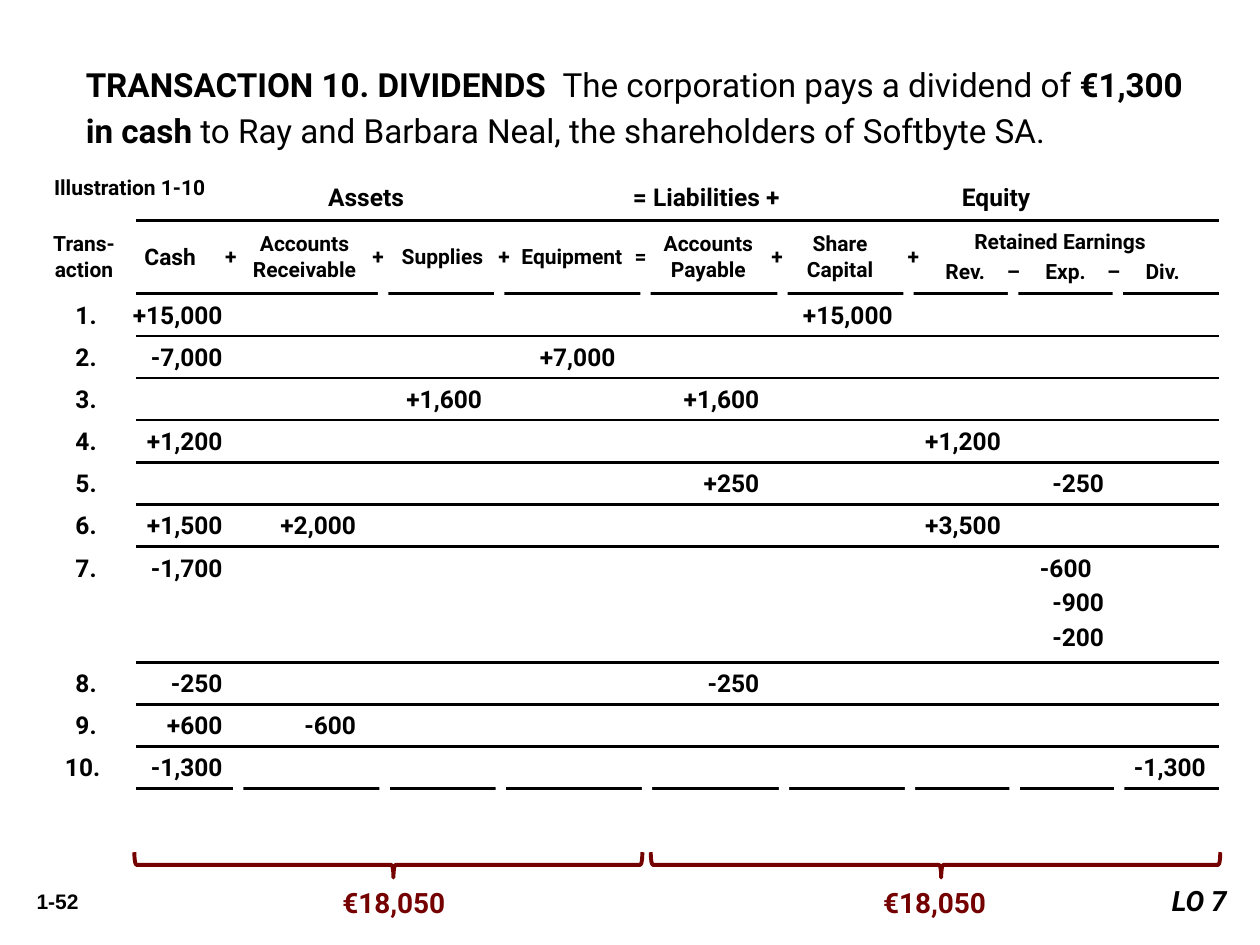
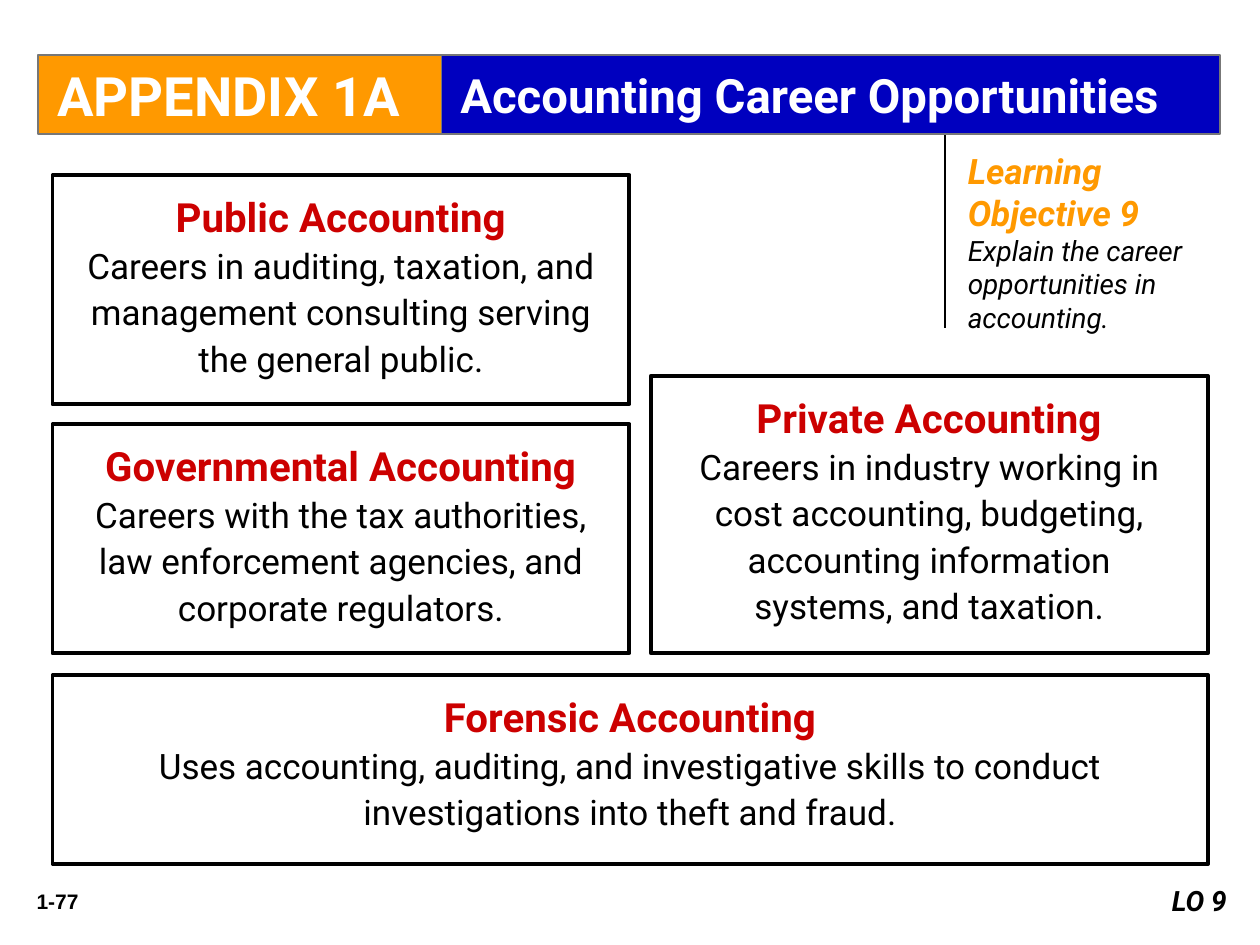
from dataclasses import dataclass
from itertools import accumulate
from typing import NamedTuple

from lxml import etree
from pptx import Presentation
from pptx.dml.color import RGBColor
from pptx.enum.shapes import MSO_CONNECTOR, MSO_SHAPE
from pptx.enum.text import MSO_ANCHOR, PP_ALIGN
from pptx.oxml.ns import qn
from pptx.util import Cm, Pt

RECT, BRACE = MSO_SHAPE.RECTANGLE, MSO_SHAPE.LEFT_BRACE
STRAIGHT = MSO_CONNECTOR.STRAIGHT
LEFT, CENTER, RIGHT = PP_ALIGN.LEFT, PP_ALIGN.CENTER, PP_ALIGN.RIGHT
TOP, MIDDLE = MSO_ANCHOR.TOP, MSO_ANCHOR.MIDDLE

BLACK = RGBColor(0x00, 0x00, 0x00)
WHITE = RGBColor(0xFF, 0xFF, 0xFF)
MAROON = RGBColor(0x74, 0x00, 0x00)
RED = RGBColor(0xCC, 0x00, 0x00)
ORANGE = RGBColor(0xFF, 0x99, 0x00)
BLUE = RGBColor(0x00, 0x00, 0xBF)
GREY = RGBColor(0x77, 0x77, 0x77)
FONT, NUMBER_FONT = "Roboto", "Arial"


class Box(NamedTuple):
    """Left, top, width and height in centimetres."""
    x: float
    y: float
    w: float
    h: float

    def lengths(self) -> list:
        return [Cm(v) for v in self]


@dataclass
class Run:
    text: str
    size: float
    bold: bool = True
    italic: bool = False
    color: RGBColor = BLACK
    font: str = FONT


@dataclass
class Para:
    runs: list[Run]
    align: PP_ALIGN = LEFT
    before: float = 0
    spacing: float = 1.0
    tabs: tuple = ()  # (position in cm, alignment)


@dataclass
class Line:
    """Amounts of one ledger line, by column."""
    amounts: dict[str, str]
    expense_tab: float = 20.95


@dataclass
class Entry:
    lines: list[Line]
    height: float = 0.85


@dataclass
class Card:
    box: Box
    title: str
    body: str


# ---------- shared helpers ----------
def write(tf, paras: list[Para], anchor=TOP, inset_x=0.25, inset_y=0.13) -> None:
    tf.word_wrap = True
    tf.vertical_anchor = anchor
    tf.margin_left = tf.margin_right = Cm(inset_x)
    tf.margin_top = tf.margin_bottom = Cm(inset_y)
    for i, para in enumerate(paras):
        p = tf.add_paragraph() if i else tf.paragraphs[0]
        if para.tabs:
            tab_list = etree.SubElement(p._p.get_or_add_pPr(), qn("a:tabLst"))
            for pos, algn in para.tabs:
                etree.SubElement(tab_list, qn("a:tab"), pos=str(int(Cm(pos))), algn=algn)
        p.alignment = para.align
        p.line_spacing = para.spacing
        if para.before:
            p.space_before = Pt(para.before)
        for run in para.runs:
            r = p.add_run()
            r.text = run.text
            r.font.name, r.font.size = run.font, Pt(run.size)
            r.font.bold, r.font.italic = run.bold, run.italic
            r.font.color.rgb = run.color


def add_text(s, box: Box, paras: list[Para], **frame) -> None:
    write(s.shapes.add_textbox(*box.lengths()).text_frame, paras, **frame)


def add_panel(s, box: Box, fill: RGBColor, line: RGBColor | None = None, width: float = 1):
    sp = s.shapes.add_shape(RECT, *box.lengths())
    sp.shadow.inherit = False
    sp.fill.solid()
    sp.fill.fore_color.rgb = fill
    if line is None:
        sp.line.fill.background()
    else:
        sp.line.color.rgb = line
        sp.line.width = Pt(width)
    return sp


def add_line(s, x1: float, y1: float, x2: float, y2: float, width=1.5) -> None:
    line = s.shapes.add_connector(STRAIGHT, Cm(x1), Cm(y1), Cm(x2), Cm(y2))
    line.line.color.rgb = BLACK
    line.line.width = Pt(width)
    etree.SubElement(line._element.spPr, qn("a:effectLst"))


def add_footer(s, number: str, objective: str) -> None:
    add_text(s, Box(0.21, 17.78, 1.9, 0.76),
             [Para([Run(number, 12, font=NUMBER_FONT)], CENTER)])
    sp = add_panel(s, Box(22.87, 17.69, 2.11, 0.94), WHITE)
    write(sp.text_frame, [Para([Run(objective, 16, italic=True)], RIGHT)])


# ---------- slide 1: accounting equation ----------
GRID_LEFT, GRID_RIGHT = 2.74, 24.57
HEAD_TOP, ROWS_TOP = 4.44, 5.92
HEAD_HEIGHT = 1.45
GAP_WIDTH, GAP_HEIGHT = 0.21, 0.42
HEAD_GAPS = [7.62, 9.96, 12.91, 15.67, 18.21, 20.32, 22.43]
FOOT_GAPS = [4.7] + [x + 0.03 for x in HEAD_GAPS]

# Right edge of each column, from the left of the row text
COLUMNS = {"no": 0.64, "cash": 3.18, "receivable": 5.87, "supplies": 8.41,
           "equipment": 11.1, "payable": 14.0, "share": 16.69,
           "revenue": 18.87, "expense": 20.95, "dividend": 23.0}

HEADINGS = [  # left, width, lines, size
    (0.64, 2.11, ["Trans-", "action"], 12),
    (2.54, 1.78, ["Cash"], 13),
    (4.87, 2.54, ["Accounts", "Receivable"], 12),
    (7.93, 1.98, ["Supplies"], 12),
    (10.16, 2.74, ["Equipment"], 12),
    (12.91, 2.74, ["Accounts", "Payable"], 12),
    (15.92, 2.03, ["Share Capital"], 12),
]
SIGNS = [(4.44, "+"), (7.41, "+"), (9.95, "+"), (12.7, "="), (15.45, "+"), (18.2, "+")]

ENTRIES = [
    Entry([Line({"cash": "+15,000", "share": "+15,000"})]),
    Entry([Line({"cash": "-7,000", "equipment": "+7,000"})]),
    Entry([Line({"supplies": "+1,600", "payable": "+1,600"})]),
    Entry([Line({"cash": "+1,200", "revenue": "+1,200"})]),
    Entry([Line({"payable": "+250", "expense": "-250"})]),
    Entry([Line({"cash": "+1,500", "receivable": "+2,000", "revenue": "+3,500"})]),
    Entry([Line({"cash": "-1,700", "expense": "-600"}, expense_tab=20.7),
           Line({"expense": "-900"}), Line({"expense": "-200"})], height=2.33),
    Entry([Line({"cash": "-250", "payable": "-250"})]),
    Entry([Line({"cash": "+600", "receivable": "-600"})]),
    Entry([Line({"cash": "-1,300", "dividend": "-1,300"})]),
]
TOTALS = [  # brace left, brace width, centre of the amount
    (2.71, 10.24, 7.94),
    (13.12, 11.48, 18.84),
]


def add_rule(s, y: float, gaps: list[float] | None = None) -> None:
    add_line(s, GRID_LEFT, y, GRID_RIGHT, y)
    for x in gaps or []:
        add_panel(s, Box(x, y - GAP_HEIGHT / 2, GAP_WIDTH, GAP_HEIGHT), WHITE)


def centre_tabs(*positions: float) -> tuple:
    return tuple((pos, "ctr") for pos in positions)


def ledger_para(line: Line) -> Para:
    names = list(COLUMNS)
    last = max(names.index(name) for name in line.amounts)
    text = "".join("\t" + line.amounts.get(name, "") for name in names[:last + 1])
    stops = COLUMNS | {"expense": line.expense_tab}
    return Para([Run(text, 14)], before=3, tabs=tuple((pos, "r") for pos in stops.values()))


def add_headings(s) -> None:
    add_rule(s, HEAD_TOP)
    add_rule(s, ROWS_TOP, HEAD_GAPS)
    add_text(s, Box(0.84, 3.38, 4.11, 0.76), [Para([Run("Illustration 1-10", 12)])])
    add_text(s, Box(2.53, 3.59, 22.02, 0.74),
             [Para([Run("\tAssets\t= Liabilities +\tEquity", 14)],
                   tabs=centre_tabs(4.6, 11.46, 17.3))], anchor=MIDDLE)
    labels = HEADINGS + [(x, 0.43, [sign], 12) for x, sign in SIGNS]
    for x, width, lines, size in labels:
        add_text(s, Box(x, HEAD_TOP, width, HEAD_HEIGHT),
                 [Para([Run(text, size)], CENTER) for text in lines],
                 anchor=MIDDLE, inset_x=0)
    add_text(s, Box(18.22, HEAD_TOP, 6.35, HEAD_HEIGHT),
             [Para([Run("\tRetained Earnings", 12)], tabs=centre_tabs(2.9)),
              Para([Run("\tRev.\t–\tExp.\t–\tDiv.", 12)], before=3,
                   tabs=centre_tabs(0.99, 1.96, 3.01, 3.98, 4.97))], anchor=MIDDLE)


def add_entries(s) -> None:
    edges = list(accumulate((e.height for e in ENTRIES), initial=ROWS_TOP))
    for y in edges[1:-1]:
        add_rule(s, y)
    add_rule(s, edges[-1], FOOT_GAPS)
    for i, (entry, top) in enumerate(zip(ENTRIES, edges)):
        entry.lines[0].amounts["no"] = f"{i + 1}."
        paras = [ledger_para(line) for line in entry.lines]
        paras[0].before = 0
        add_text(s, Box(1.06, top - 0.01, 23.93, entry.height), paras)


def add_total(s, left: float, width: float, centre: float) -> None:
    depth, top = 0.51, 17.18
    # The upright brace is turned about its centre to point down
    box = Box(left + (width - depth) / 2, top - (width - depth) / 2, depth, width)
    sp = s.shapes.add_shape(BRACE, *box.lengths())
    sp.shadow.inherit = False
    sp.rotation = 270
    sp.adjustments[0], sp.adjustments[1] = 0.08, 0.51
    sp.fill.background()
    sp.line.color.rgb = MAROON
    sp.line.width = Pt(2.25)
    add_text(s, Box(centre - 1.9, 17.73, 3.8, 0.94),
             [Para([Run("€18,050", 16, color=MAROON)], CENTER)])


def build_transaction(prs) -> None:
    s = prs.slides.add_slide(prs.slide_layouts[6])
    add_text(s, Box(1.48, 1.05, 23.04, 2.13), [Para([
        Run("TRANSACTION 10. DIVIDENDS  ", 19),
        Run("The corporation pays a dividend of ", 19, bold=False),
        Run("€1,300 in cash ", 19),
        Run("to Ray and Barbara Neal, the shareholders of Softbyte SA.", 19, bold=False),
    ], spacing=1.15)])
    add_headings(s)
    add_entries(s)
    for total in TOTALS:
        add_total(s, *total)
    add_footer(s, "1-52", "LO 7")


# ---------- slide 2: careers ----------
BANNER = [  # box, fill, text, size
    (Box(8.89, 1.11, 15.7, 1.6), BLUE, "Accounting Career Opportunities", 27),
    (Box(0.77, 1.11, 8.13, 1.6), ORANGE, "APPENDIX 1A", 31),
]
CARDS = [
    Card(Box(1.06, 3.53, 11.63, 4.62), "Public Accounting",
         "Careers in auditing, taxation, and management consulting serving "
         "the general public."),
    Card(Box(1.06, 8.55, 11.63, 4.62), "Governmental Accounting",
         "Careers with the tax authorities, law enforcement agencies, and "
         "corporate regulators."),
    Card(Box(13.12, 7.58, 11.23, 5.59), "Private Accounting",
         "Careers in industry working in cost accounting, budgeting, "
         "accounting information systems, and taxation."),
    Card(Box(1.06, 13.61, 23.29, 3.81), "Forensic Accounting",
         "Uses accounting, auditing, and investigative skills to conduct "
         "investigations into theft and fraud."),
]


def build_careers(prs) -> None:
    s = prs.slides.add_slide(prs.slide_layouts[6])
    add_line(s, 19.05, 2.72, 19.05, 6.61, width=1)
    for card in CARDS:
        sp = add_panel(s, card.box, WHITE, BLACK, 2.25)
        write(sp.text_frame,
              [Para([Run(card.title, 23, color=RED)], CENTER, spacing=1.1),
               Para([Run(card.body, 20, bold=False)], CENTER, spacing=1.1)],
              inset_x=0.51, inset_y=0.25)
    for box, fill, text, size in BANNER:
        sp = add_panel(s, box, fill, GREY)
        write(sp.text_frame, [Para([Run(text, size, color=WHITE)])],
              anchor=MIDDLE, inset_x=0.39)
    add_text(s, Box(19.26, 2.88, 5.69, 4.01), [
        Para([Run("Learning Objective 9", 20, italic=True, color=ORANGE)]),
        Para([Run("Explain the career opportunities in accounting.", 16,
                  bold=False, italic=True)])])
    add_footer(s, "1-77", "LO 9")


def main() -> None:
    prs = Presentation()
    prs.slide_width, prs.slide_height = Cm(25.4), Cm(19.05)
    build_transaction(prs)
    build_careers(prs)
    prs.save("out.pptx")


if __name__ == "__main__":
    main()
